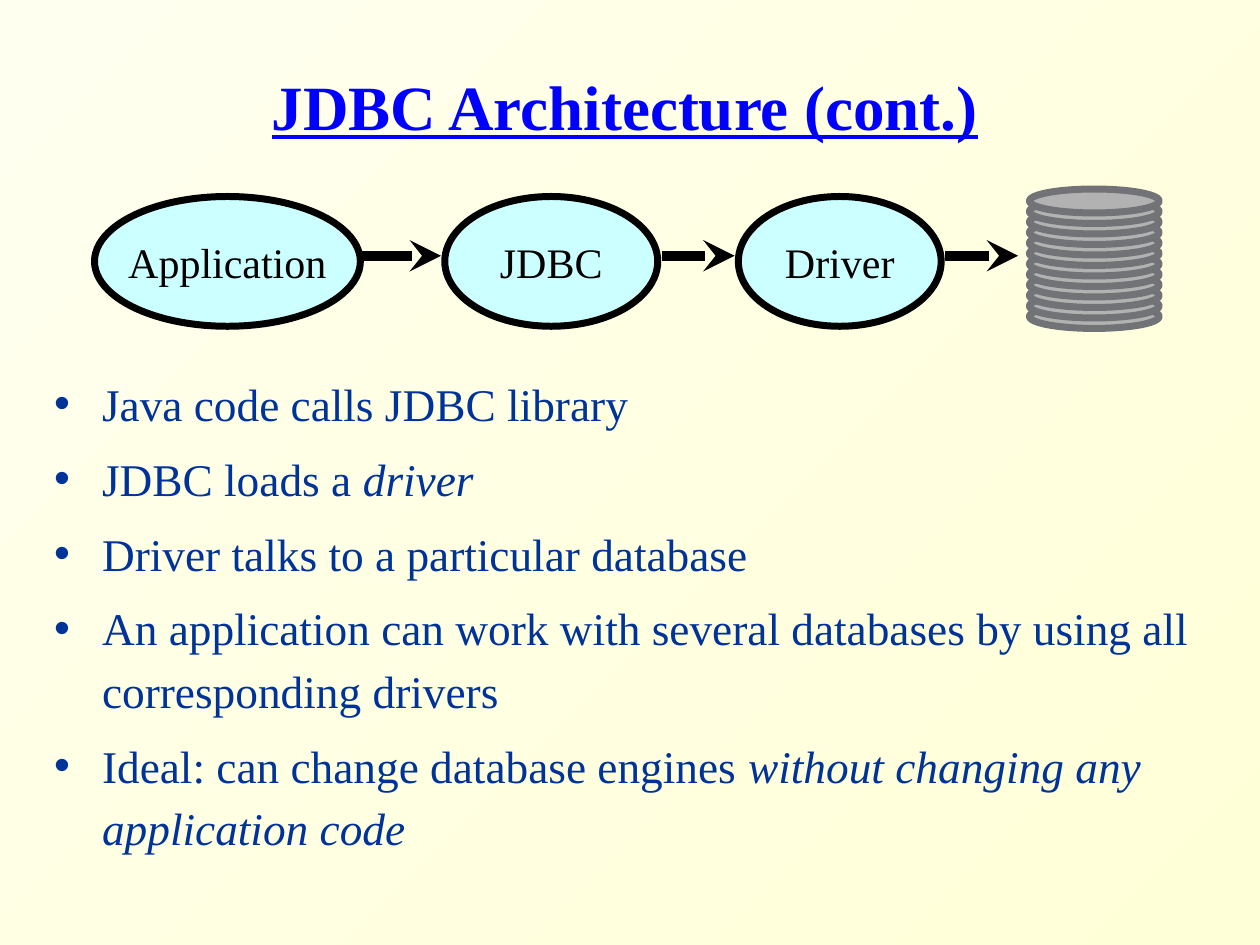
"""Build the JDBC architecture slide."""
from lxml import etree
from pptx import Presentation
from pptx.dml.color import RGBColor
from pptx.enum.shapes import MSO_CONNECTOR, MSO_SHAPE
from pptx.enum.text import MSO_ANCHOR, MSO_AUTO_SIZE, PP_ALIGN
from pptx.oxml.ns import qn
from pptx.util import Inches, Pt

CENTER, LEFT = PP_ALIGN.CENTER, PP_ALIGN.LEFT
MIDDLE, TOP = MSO_ANCHOR.MIDDLE, MSO_ANCHOR.TOP
NO_AUTOFIT = MSO_AUTO_SIZE.NONE
OVAL, STRAIGHT = MSO_SHAPE.OVAL, MSO_CONNECTOR.STRAIGHT
FONT = "Times New Roman"


def color(value):
    return RGBColor.from_string(value)


def add_ellipse(left, top, width, height, fill, line):
    shape = slide.shapes.add_shape(OVAL, Inches(left), Inches(top), Inches(width), Inches(height))
    shape.shadow.inherit = False
    shape.fill.solid()
    shape.fill.fore_color.rgb = color(fill)
    shape.line.color.rgb = color(line)
    shape.line.width = Pt(4)
    return shape


presentation = Presentation()
presentation.slide_width, presentation.slide_height = Inches(10), Inches(7.5)
slide = presentation.slides.add_slide(presentation.slide_layouts[1])

background = slide.background.fill
background.gradient()
background.gradient_angle = 315
for stop, value in zip(background.gradient_stops, ("FFFFEF", "FFFFD7")):
    stop.color.rgb = color(value)

title = slide.shapes.title
title.left, title.top, title.width, title.height = Inches(1), Inches(0.42), Inches(7.92), Inches(0.92)
title.text_frame.text = "JDBC Architecture (cont.)"
title.text_frame.auto_size = NO_AUTOFIT
title.text_frame.vertical_anchor = MIDDLE
paragraph = title.text_frame.paragraphs[0]
paragraph.alignment = CENTER
paragraph.line_spacing = 0.85
font = paragraph.runs[0].font
font.name, font.size, font.bold, font.underline = FONT, Pt(36), True, True
font.color.rgb = color("0000FF")

for label, left, width in (("Application", 0.75, 2.11), ("JDBC", 3.53, 1.69), ("Driver", 5.86, 1.61)):
    stage = add_ellipse(left, 1.56, width, 1.03, "CCFFFF", "000000")
    stage.text_frame.text = label
    stage.text_frame.word_wrap = False
    stage.text_frame.vertical_anchor = MIDDLE
    paragraph = stage.text_frame.paragraphs[0]
    paragraph.alignment = CENTER
    font = paragraph.runs[0].font
    font.name, font.size = FONT, Pt(24)
    font.color.rgb = color("000000")

DISK_COUNT = 12
for level in reversed(range(DISK_COUNT)):
    add_ellipse(8.17, 1.5 + level / DISK_COUNT, 1.03, 0.19, "B2B2B2", "727377")

for start, end in ((2.83, 3.5), (5.25, 5.83), (7.5, 8.08)):
    arrow = slide.shapes.add_connector(STRAIGHT, Inches(start), Inches(2.03), Inches(end), Inches(2.03))
    arrow.line.color.rgb = color("000000")
    arrow.line.width = Pt(6)
    etree.SubElement(arrow.line._get_or_add_ln(), qn("a:tailEnd"), type="stealth")
    etree.SubElement(arrow._element.spPr, qn("a:effectLst"))

bullets = (
    ("Java code calls JDBC library", ""),
    ("JDBC loads a ", "driver"),
    ("Driver talks to a particular database", ""),
    ("An application can work with several databases by using all corresponding drivers", ""),
    ("Ideal: can change database engines ", "without changing any application code"),
)
body = slide.placeholders[1]
body.left, body.top, body.width, body.height = Inches(0.33), Inches(2.87), Inches(9.42), Inches(3.95)
body.text_frame.text = "\n".join(plain for plain, emphasis in bullets)
body.text_frame.auto_size = NO_AUTOFIT
body.text_frame.vertical_anchor = TOP
for index, (paragraph, (plain, emphasis)) in enumerate(zip(body.text_frame.paragraphs, bullets)):
    paragraph.alignment = LEFT
    paragraph.line_spacing = 1.15
    paragraph.space_before = Pt(7 if index else 0)
    properties = paragraph._p.get_or_add_pPr()
    properties.set("marL", str(Inches(0.38)))
    properties.set("indent", str(Inches(-0.38)))
    bullet_color = etree.SubElement(properties, qn("a:buClr"))
    etree.SubElement(bullet_color, qn("a:srgbClr"), val="003399")
    etree.SubElement(properties, qn("a:buChar"), char="•")
    if emphasis:
        run = paragraph.add_run()
        run.text = emphasis
        run.font.italic = True
    for run in paragraph.runs:
        run.font.name, run.font.size = FONT, Pt(25.9)
        run.font.color.rgb = color("003399")

presentation.save("out.pptx")
